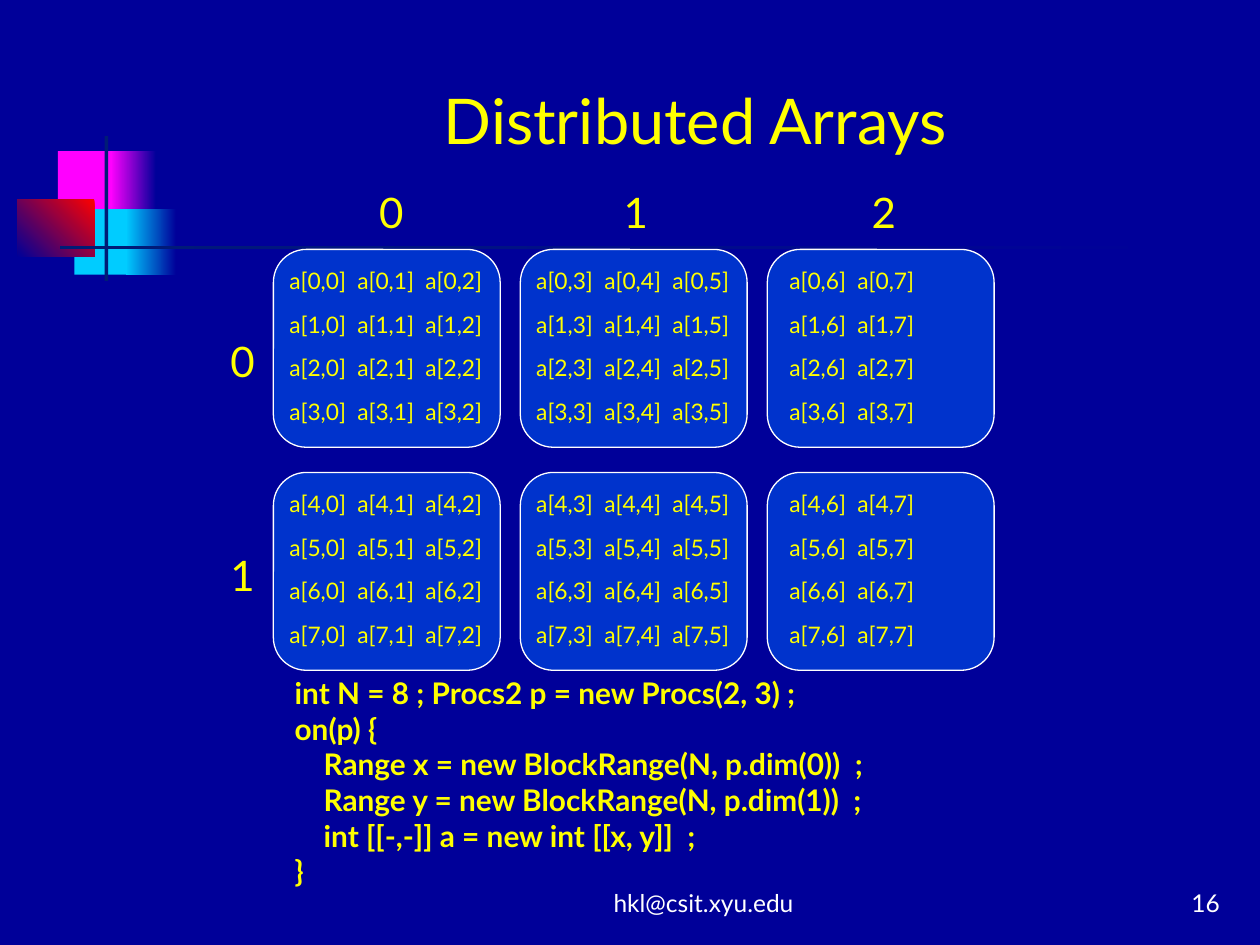
"""Builds the Distributed Arrays slide: a 2 by 3 grid of array blocks above the code that makes it."""
import pptx
import pptx.dml.color
import pptx.enum.shapes
import pptx.enum.text
import pptx.util
import lxml.etree

Inches, Pt = pptx.util.Inches, pptx.util.Pt
Align, Anchor = pptx.enum.text.PP_ALIGN, pptx.enum.text.MSO_ANCHOR
Kind = pptx.enum.shapes.MSO_SHAPE
NAVY, DARK, GOLD, WHITE = "000099", "001C76", "FFFF00", "FFFFFF"


def hue(code):
    return pptx.dml.color.RGBColor.from_string(code)


def write(shape, lines, size, color=GOLD, align=Align.CENTER, anchor=Anchor.TOP, bold=False):
    frame = shape.text_frame
    frame.word_wrap = True
    frame.vertical_anchor = anchor
    frame.text = "\n".join(lines)
    for para in frame.paragraphs:
        para.alignment = align
        para.font.name = "Lato"
        para.font.size = Pt(size)
        para.font.bold = bold
        para.font.color.rgb = hue(color)
    return frame


deck = pptx.Presentation()
deck.slide_width, deck.slide_height = Inches(10), Inches(7.5)
slide = deck.slides.add_slide(deck.slide_layouts[5])
slide.background.fill.solid()
slide.background.fill.fore_color.rgb = hue(NAVY)
shapes = slide.shapes

title = shapes.title
title.left, title.top = Inches(1.26), Inches(0.23)
title.width, title.height = Inches(8.52), Inches(1.07)
write(title, ["Distributed Arrays"], 36, anchor=Anchor.BOTTOM)

decor = [
    (0.46, 1.2, 0.48, 0.52, ["FF00FF"], 0),
    (0.88, 1.2, 0.36, 0.52, [NAVY, "FF00FF"], 180),
    (0.59, 1.66, 0.46, 0.52, ["00CCFF"], 0),
    (1, 1.66, 0.4, 0.52, [NAVY, "00CCFF"], 180),
    (0.14, 1.58, 0.61, 0.46, ["FF0000", NAVY], 225),
    (0.83, 1.08, 0.03, 1.15, [DARK], 0),
    (0.48, 1.95, 9, 0.03, [NAVY, DARK], 180),
]
for left, top, wide, high, tones, angle in decor:
    patch = shapes.add_shape(Kind.RECTANGLE, Inches(left), Inches(top), Inches(wide), Inches(high))
    patch.shadow.inherit = False
    patch.line.fill.background()
    if len(tones) == 1:
        patch.fill.solid()
        patch.fill.fore_color.rgb = hue(tones[0])
    else:
        patch.fill.gradient()
        patch.fill.gradient_angle = angle
        for stop, tone in zip(patch.fill.gradient_stops, tones):
            stop.color.rgb = hue(tone)

for row in range(2):
    for col in range(3):
        block = shapes.add_shape(Kind.ROUNDED_RECTANGLE, Inches(2.17 + 1.96 * col),
                                 Inches(1.98 + 1.77 * row), Inches(1.8), Inches(1.57))
        block.shadow.inherit = False
        block.fill.solid()
        block.fill.fore_color.rgb = hue("0033CC")
        block.line.color.rgb = hue(WHITE)
        block.line.width = Pt(0.75)
        spots = range(3 * col, min(3 * col + 3, 8))
        lines = ["\t".join(f"a[{i},{j}]" for j in spots) for i in range(4 * row, 4 * row + 4)]
        frame = write(block, lines, 13, align=Align.LEFT, anchor=Anchor.MIDDLE)
        frame.margin_left = Inches(0.05 if len(spots) == 3 else 0.1)
        frame.margin_right = 0
        for num, para in enumerate(frame.paragraphs):
            para.line_spacing = 0.8
            para.space_before = Pt(12.5 if num else 0)
            props = para._p.get_or_add_pPr()
            tabs = lxml.etree.SubElement(props, pptx.oxml.ns.qn("a:tabLst"))
            props.insert_element_before(tabs, "a:defRPr", "a:extLst")
            for step in (1, 2):
                tab = lxml.etree.SubElement(tabs, pptx.oxml.ns.qn("a:tab"))
                tab.set("pos", str(Inches(0.54 * step)))
                tab.set("algn", "l")

labels = [(1.73, 2.61, "0"), (1.73, 4.31, "1"),
          (2.91, 1.43, "0"), (4.85, 1.43, "1"), (6.82, 1.43, "2")]
for left, top, text in labels:
    label = shapes.add_textbox(Inches(left), Inches(top), Inches(0.32), Inches(0.5))
    write(label, [text], 24)

code = [
    (0, "int N = 8 ; Procs2 p = new Procs(2, 3) ;"),
    (0, "on(p) {"),
    (0.23, "Range x = new BlockRange(N, p.dim(0))  ;"),
    (0.23, "Range y = new BlockRange(N, p.dim(1))  ;"),
    (0.23, "int [[-,-]] a = new int [[x, y]]  ;"),
    (0, "}"),
]
box = shapes.add_textbox(Inches(2.24), Inches(5.36), Inches(5.79), Inches(1.75))
frame = write(box, [text for _, text in code], 17, align=Align.LEFT, bold=True)
for para, (indent, _) in zip(frame.paragraphs, code):
    para._p.get_or_add_pPr().set("marL", str(Inches(indent)))
for para in frame.paragraphs[:2]:
    para.line_spacing = 0.8
    para.space_before = Pt(4.2)

for left, wide, text, align in [(4, 3.17, "hkl@csit.xyu.edu", Align.CENTER),
                                (7.7, 2.08, "16", Align.RIGHT)]:
    foot = shapes.add_textbox(Inches(left), Inches(6.83), Inches(wide), Inches(0.5))
    write(foot, [text], 14, WHITE, align, Anchor.BOTTOM)

deck.save("out.pptx")
